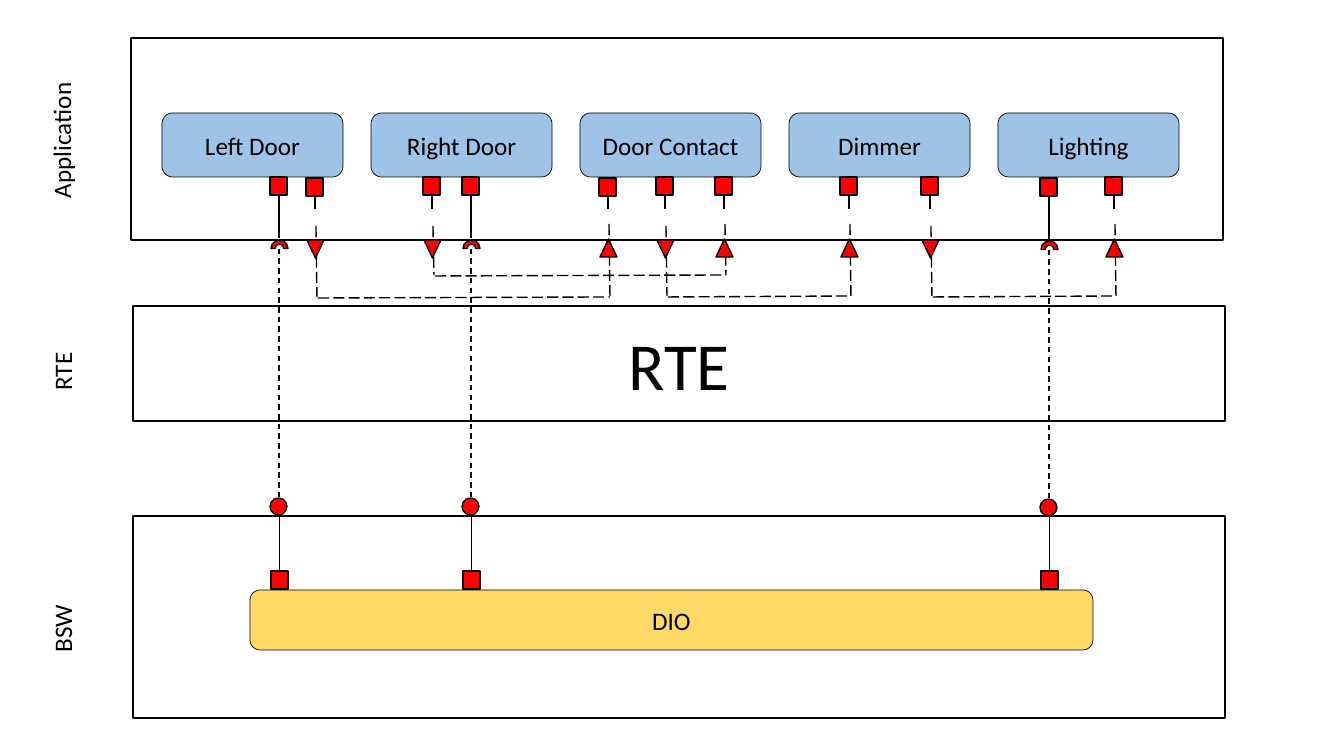
"""Build the door and lighting architecture slide: application, RTE and BSW layers."""
from dataclasses import dataclass
from typing import Optional

import pptx
import pptx.dml.color
import pptx.enum.dml
import pptx.enum.shapes
import pptx.enum.text
import pptx.oxml.ns
import pptx.shapes.autoshape
import pptx.util
from lxml import etree

EMU_PER_PIXEL = 914400 / 100.8
COLORS = {"ink": "000000", "component": "9DC3E6", "driver": "FFD966", "port": "FF0000"}
FONT = "Calibri"
PORT_WIDTH, PORT_HEIGHT = 17, 18
PRESET = pptx.enum.shapes.MSO_SHAPE
DASH = pptx.enum.dml.MSO_LINE.DASH
LONG_DASH = pptx.enum.dml.MSO_LINE.LONG_DASH


@dataclass(frozen=True)
class Box:
    """A framed block of the architecture with an optional caption."""
    left: int
    top: int
    width: int
    height: int
    caption: str = ""
    preset: int = PRESET.RECTANGLE
    fill: Optional[str] = None
    line: float = 1
    size: int = 18


@dataclass(frozen=True)
class LayerLabel:
    """A vertical layer name."""
    left: int
    top: int
    caption: str
    centered: bool = True


@dataclass(frozen=True)
class Service:
    """A client-server link from a component to the driver."""
    x: int
    drop: int = 0


@dataclass(frozen=True)
class Signal:
    """A sender-receiver link between two components."""
    sender: int
    receiver: int
    bus: int
    drop: int = 0


def px(pixels: float) -> pptx.util.Emu:
    """Turn pixels into EMU."""
    return pptx.util.Emu(round(pixels * EMU_PER_PIXEL))


def rgb(name: str) -> pptx.dml.color.RGBColor:
    """Look up a named colour."""
    return pptx.dml.color.RGBColor.from_string(COLORS[name])


def write(frame, caption: str, size: int, centered: bool = True) -> None:
    """Write one caption into a text frame."""
    frame.word_wrap = True
    paragraph = frame.paragraphs[0]
    align = pptx.enum.text.PP_ALIGN
    paragraph.alignment = align.CENTER if centered else align.LEFT
    run = paragraph.add_run()
    run.text = caption
    run.font.size = pptx.util.Pt(size)
    run.font.name = FONT
    run.font.color.rgb = rgb("ink")


def draw_box(shapes, box: Box) -> None:
    """Draw a box and its caption."""
    shape = shapes.add_shape(box.preset, px(box.left), px(box.top), px(box.width), px(box.height))
    shape.shadow.inherit = False
    if box.fill:
        shape.fill.solid()
        shape.fill.fore_color.rgb = rgb(box.fill)
    else:
        shape.fill.background()
    shape.line.color.rgb = rgb("ink")
    shape.line.width = pptx.util.Pt(box.line)
    if box.caption:
        shape.text_frame.vertical_anchor = pptx.enum.text.MSO_ANCHOR.MIDDLE
        write(shape.text_frame, box.caption, box.size)


def draw_port(shapes, preset: int, x: int, top: int, height: int = PORT_HEIGHT) -> None:
    """Draw a port symbol centred on x."""
    draw_box(shapes, Box(x - PORT_WIDTH // 2 - 1, top, PORT_WIDTH, height, preset=preset, fill="port"))


def draw_line(shapes, start: tuple[int, int], end: tuple[int, int],
              width: float = 1, dash: Optional[int] = None) -> None:
    """Draw a straight line."""
    straight = pptx.enum.shapes.MSO_CONNECTOR.STRAIGHT
    connector = shapes.add_connector(straight, px(start[0]), px(start[1]), px(end[0]), px(end[1]))
    connector.line.color.rgb = rgb("ink")
    connector.line.width = pptx.util.Pt(width)
    if dash is not None:
        connector.line.dash_style = dash
    etree.SubElement(connector._element.spPr, pptx.oxml.ns.qn("a:effectLst"))


def draw_label(shapes, label: LayerLabel) -> None:
    """Draw a layer name reading upwards."""
    frame = shapes.add_textbox(px(label.left), px(label.top), px(50), px(149)).text_frame
    write(frame, label.caption, 18, label.centered)
    frame.auto_size = pptx.enum.text.MSO_AUTO_SIZE.SHAPE_TO_FIT_TEXT
    frame._txBody.bodyPr.set("vert", "vert270")


def draw_service(shapes, service: Service) -> None:
    """Draw a link with its ports, socket and ball."""
    x, drop = service.x, service.drop
    draw_port(shapes, PRESET.RECTANGLE, x + 1, 571)
    draw_line(shapes, (x, 239 + drop), (x, 503), dash=DASH)
    draw_line(shapes, (x, 515 + drop), (x, 570), width=0.5)
    draw_line(shapes, (x, 177), (x, 238 + drop))
    draw_port(shapes, PRESET.BLOCK_ARC, x + 1, 240 + drop, PORT_WIDTH)
    draw_port(shapes, PRESET.RECTANGLE, x, 177 + drop)
    draw_port(shapes, PRESET.FLOWCHART_CONNECTOR, x, 498 + drop, PORT_WIDTH)


def draw_signal(shapes, signal: Signal) -> None:
    """Draw a link with its ports, bus and direction arrows."""
    bus, drop = signal.bus, signal.drop
    for x, lead in ((signal.sender, 226), (signal.receiver, 224)):
        draw_port(shapes, PRESET.RECTANGLE, x, 177 + drop)
        draw_line(shapes, (x, 195 + drop), (x, 209))
        draw_line(shapes, (x + 1, lead), (x + 2, bus - 1), dash=LONG_DASH)
    draw_line(shapes, (signal.sender + 3, bus), (signal.receiver + 2, bus - 1), dash=LONG_DASH)
    draw_port(shapes, PRESET.FLOWCHART_MERGE, signal.sender + 1, 240)
    draw_port(shapes, PRESET.ISOSCELES_TRIANGLE, signal.receiver + 1, 239)


LAYERS = [
    Box(131, 38, 1092, 202),
    Box(133, 306, 1092, 115, "RTE", size=48),
    Box(133, 516, 1092, 202),
]
LABELS = [
    LayerLabel(41, 59, "Application", centered=False),
    LayerLabel(42, 297, "RTE"),
    LayerLabel(42, 554, "BSW"),
]
COMPONENTS = [
    Box(162 + 209 * column, 113, 181, 64, name, PRESET.ROUNDED_RECTANGLE, "component", 0.5)
    for column, name in enumerate(["Left Door", "Right Door", "Door Contact", "Dimmer", "Lighting"])
]
DRIVER = Box(250, 590, 843, 60, "DIO", PRESET.ROUNDED_RECTANGLE, "driver", 0.5)
SERVICES = [Service(1049, drop=1), Service(471), Service(279)]
SIGNALS = [
    Signal(315, 608, 298, drop=1),
    Signal(432, 724, 276),
    Signal(665, 849, 297),
    Signal(930, 1114, 297),
]

deck = pptx.Presentation()
deck.slide_width, deck.slide_height = px(1344), px(756)
canvas = deck.slides.add_slide(deck.slide_layouts[6]).shapes
for layer in LAYERS:
    draw_box(canvas, layer)
for layer_label in LABELS:
    draw_label(canvas, layer_label)
for block in [*COMPONENTS, DRIVER]:
    draw_box(canvas, block)
for service_link in SERVICES:
    draw_service(canvas.add_group_shape().shapes, service_link)
for signal_link in SIGNALS:
    draw_signal(canvas.add_group_shape().shapes, signal_link)
deck.save("out.pptx")
